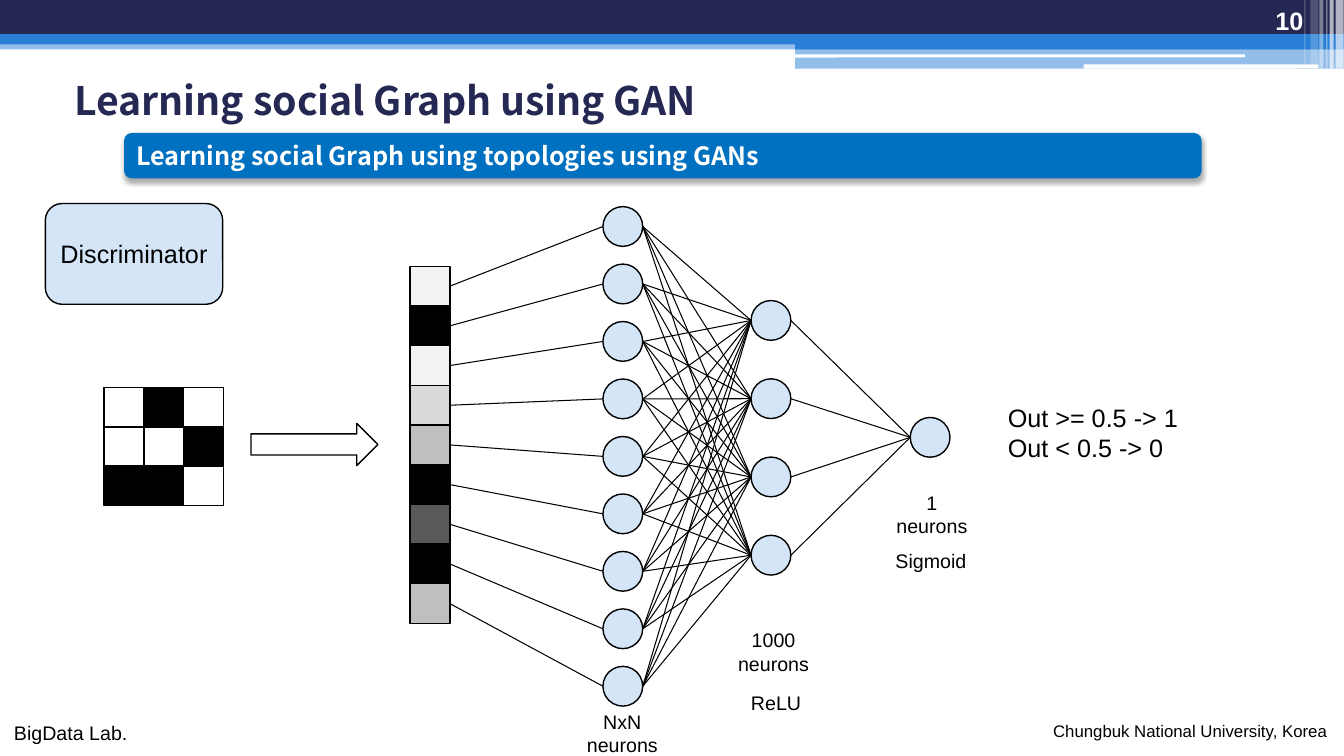
from dataclasses import dataclass

from lxml import etree
from pptx import Presentation
from pptx.dml.color import RGBColor
from pptx.enum.shapes import MSO_CONNECTOR, MSO_SHAPE
from pptx.enum.text import MSO_ANCHOR, MSO_AUTO_SIZE, PP_ALIGN
from pptx.oxml.ns import qn
from pptx.shapes.autoshape import Shape
from pptx.shapes.connector import Connector
from pptx.slide import Slide
from pptx.util import Pt

RECT, ROUNDED = MSO_SHAPE.RECTANGLE, MSO_SHAPE.ROUNDED_RECTANGLE
OVAL, RIGHT_ARROW = MSO_SHAPE.OVAL, MSO_SHAPE.RIGHT_ARROW
STRAIGHT = MSO_CONNECTOR.STRAIGHT
LEFT, CENTER, RIGHT = PP_ALIGN.LEFT, PP_ALIGN.CENTER, PP_ALIGN.RIGHT
TOP, MIDDLE, BOTTOM = MSO_ANCHOR.TOP, MSO_ANCHOR.MIDDLE, MSO_ANCHOR.BOTTOM
FIT_TEXT = MSO_AUTO_SIZE.SHAPE_TO_FIT_TEXT
RIGHT_SIDE = 3

COLORS = {
    "white": "FFFFFF", "black": "000000", "navy": "242852", "blue": "297FD5",
    "banner": "0070C0", "neuron": "D4E5F7", "pale": "F2F2F2",
    "light": "D9D9D9", "silver": "BFBFBF", "dark": "595959",
}
BODY_FONT, HEADING_FONT = "Arial", "Noto Sans CJK KR"
NODE = 28.4


@dataclass(frozen=True)
class Box:
    left: float
    top: float
    width: float
    height: float


@dataclass(frozen=True)
class Band:
    box: Box
    color: str
    opacity: int = 100
    kind: MSO_SHAPE = RECT


@dataclass(frozen=True)
class TextStyle:
    size: float = 14
    color: str = "black"
    font: str = BODY_FONT
    bold: bool = False
    align: PP_ALIGN = LEFT
    anchor: MSO_ANCHOR = TOP


@dataclass(frozen=True)
class Label:
    text: str
    box: Box
    style: TextStyle
    wrap: bool = False


@dataclass(frozen=True)
class Layer:
    left: float
    top: float
    pitch: float
    count: int

    def centers(self) -> list[float]:
        return [self.top + i * self.pitch + NODE / 2 for i in range(self.count)]


CAPTION = TextStyle(align=CENTER)
TITLE = TextStyle(28, "navy", HEADING_FONT, True, LEFT, MIDDLE)
BANNER = TextStyle(18, "white", HEADING_FONT, True, LEFT, MIDDLE)
PAGE_NUMBER = TextStyle(18, "white", BODY_FONT, True, RIGHT, BOTTOM)
ROLE = TextStyle(18, align=CENTER, anchor=MIDDLE)

HEADER = [
    Band(Box(0, 28.8, 960, 6.5), "blue", 50),
    Band(Box(0, 0, 960, 24.5), "navy"),
    Band(Box(0, 24.5, 960, 7.2), "blue"),
    Band(Box(568, 28.1, 392, 7.2), "blue"),
    Band(Box(568, 34.6, 392, 14.4), "blue", 50),
    Band(Box(567.4, 38.9, 321.8, 2.2), "white", kind=ROUNDED),
    Band(Box(774, 46.1, 167.8, 2.9), "white", kind=ROUNDED),
    Band(Box(954, 0, 5.8, 49), "white", 65),
    Band(Box(949.7, 0, 2.9, 49), "white", 65),
    Band(Box(947.5, 0, 0.7, 49), "white", 60),
    Band(Box(942.5, 0, 2.9, 49), "white", 40),
    Band(Box(936, 0, 5.8, 46.1), "white", 20),
    Band(Box(931.7, 0, 0.7, 46.1), "white", 30),
]
FOOTERS = [
    Label("BigData Lab.", Box(2.9, 511.2, 95.8, 24.5), TextStyle()),
    Label("Chungbuk National University, Korea", Box(745.2, 511.2, 211.7, 21.6), TextStyle(12)),
]
HEADING = Label("Learning social Graph using GAN", Box(37.4, 10.8, 867.6, 84.2), TITLE, True)
PAGE = Label("10", Box(858.2, 0, 79.9, 28.8), PAGE_NUMBER, True)
CAPTIONS = [
    Label("Out >= 0.5 -> 1\nOut < 0.5 -> 0", Box(712.8, 283.7, 137.5, 51), TextStyle(18)),
    Label("NxN\nneurons", Box(411.8, 503.3, 65.5, 41), CAPTION),
    Label("1000\nneurons", Box(519.8, 445, 65.5, 41), CAPTION),
    Label("1\nneurons", Box(632.9, 347, 65.5, 41), CAPTION),
    Label("Sigmoid", Box(632.2, 388.8, 65.5, 24.5), CAPTION),
    Label("ReLU", Box(529.2, 490.3, 50.4, 24.5), CAPTION),
]
ADJACENCY = ["010", "001", "110"]
VECTOR = ["pale", "black", "pale", "light", "silver", "black", "dark", "black", "silver"]
INPUT = Layer(430.7, 147.6, 41.05, 9)
HIDDEN = Layer(536.5, 214.7, 55.9, 4)
OUTPUT = Layer(650.2, 298.2, 0, 1)


def rgb(name: str) -> RGBColor:
    return RGBColor.from_string(COLORS[name])


def lengths(box: Box) -> tuple[Pt, ...]:
    return Pt(box.left), Pt(box.top), Pt(box.width), Pt(box.height)


def add_figure(slide: Slide, kind: MSO_SHAPE, box: Box, fill: str | None,
               outlined: bool = True, opacity: int = 100) -> Shape:
    figure = slide.shapes.add_shape(kind, *lengths(box))
    figure.shadow.inherit = False
    if fill is None:
        figure.fill.background()
    else:
        figure.fill.solid()
        figure.fill.fore_color.rgb = rgb(fill)
    if outlined:
        figure.line.color.rgb = rgb("black")
        figure.line.width = Pt(1)
    else:
        figure.line.fill.background()
    if opacity < 100:
        color = figure.element.spPr.find(qn("a:solidFill")).find(qn("a:srgbClr"))
        etree.SubElement(color, qn("a:alpha"), val=str(opacity * 1000))
    return figure


def write(figure: Shape, text: str, style: TextStyle) -> None:
    frame = figure.text_frame
    frame.text = text
    frame.vertical_anchor = style.anchor
    for paragraph in frame.paragraphs:
        paragraph.alignment = style.align
        for run in paragraph.runs:
            run.font.size = Pt(style.size)
            run.font.name = style.font
            run.font.bold = style.bold
            run.font.color.rgb = rgb(style.color)


def add_label(slide: Slide, label: Label) -> Shape:
    area = slide.shapes.add_textbox(*lengths(label.box))
    area.text_frame.word_wrap = label.wrap
    if not label.wrap:
        area.text_frame.auto_size = FIT_TEXT
    write(area, label.text, label.style)
    return area


def add_link(slide: Slide, x1: float, y1: float, x2: float, y2: float) -> Connector:
    link = slide.shapes.add_connector(STRAIGHT, Pt(x1), Pt(y1), Pt(x2), Pt(y2))
    link.line.color.rgb = rgb("black")
    link.line.width = Pt(0.75)
    etree.SubElement(link.element.spPr, qn("a:effectLst"))
    return link


def add_layer(slide: Slide, layer: Layer) -> None:
    for center in layer.centers():
        add_figure(slide, OVAL, Box(layer.left, center - NODE / 2, NODE, NODE), "neuron")


def link_layers(slide: Slide, source: Layer, target: Layer) -> None:
    for start in source.centers():
        for end in target.centers():
            add_link(slide, source.left + NODE, start, target.left, end)


def add_heading(slide: Slide) -> None:
    title = add_label(slide, HEADING).text_frame.paragraphs[0]
    title.line_spacing = 2.1
    title._p.get_or_add_pPr().set("marL", str(Pt(8.64)))
    banner = add_figure(slide, ROUNDED, Box(88.6, 95, 769.7, 32.4), "banner", False)
    write(banner, "Learning social Graph using topologies using GANs", BANNER)
    effects = banner.element.spPr.find(qn("a:effectLst"))
    shadow = etree.SubElement(effects, qn("a:outerShdw"), blurRad=str(Pt(3.5)),
                              dist=str(Pt(2.2)), dir="5400000", rotWithShape="0")
    tint = etree.SubElement(shadow, qn("a:srgbClr"), val=COLORS["black"])
    etree.SubElement(tint, qn("a:alpha"), val="32000")
    add_label(slide, PAGE)


def add_network(slide: Slide) -> None:
    for row, bits in enumerate(ADJACENCY):
        for column, bit in enumerate(bits):
            cell = Box(74.4 + column * 28.4, 277 + row * 27.9, NODE, NODE)
            add_figure(slide, RECT, cell, "black" if bit == "1" else "white")
    add_layer(slide, INPUT)
    add_layer(slide, HIDDEN)
    link_layers(slide, INPUT, HIDDEN)
    entries = [add_figure(slide, RECT, Box(293, 190.2 + i * 28.35, NODE, NODE), shade)
               for i, shade in enumerate(VECTOR)]
    for entry, center in zip(entries, INPUT.centers()):
        link = add_link(slide, 321.4, center, INPUT.left, center)
        link.begin_connect(entry, RIGHT_SIDE)
    add_layer(slide, OUTPUT)
    link_layers(slide, HIDDEN, OUTPUT)


def main() -> None:
    deck = Presentation()
    deck.slide_width, deck.slide_height = Pt(960), Pt(540)
    slide = deck.slides.add_slide(deck.slide_layouts[6])
    for band in HEADER:
        add_figure(slide, band.kind, band.box, band.color, False, band.opacity)
    for footer in FOOTERS:
        add_label(slide, footer)
    add_heading(slide)
    add_network(slide)
    add_figure(slide, RIGHT_ARROW, Box(179.3, 302.4, 90.7, 30.2), None)
    discriminator = add_figure(slide, ROUNDED, Box(32.4, 145.4, 126.7, 72), "neuron")
    write(discriminator, "Discriminator", ROLE)
    for caption in CAPTIONS:
        add_label(slide, caption)
    deck.save("out.pptx")


if __name__ == "__main__":
    main()
